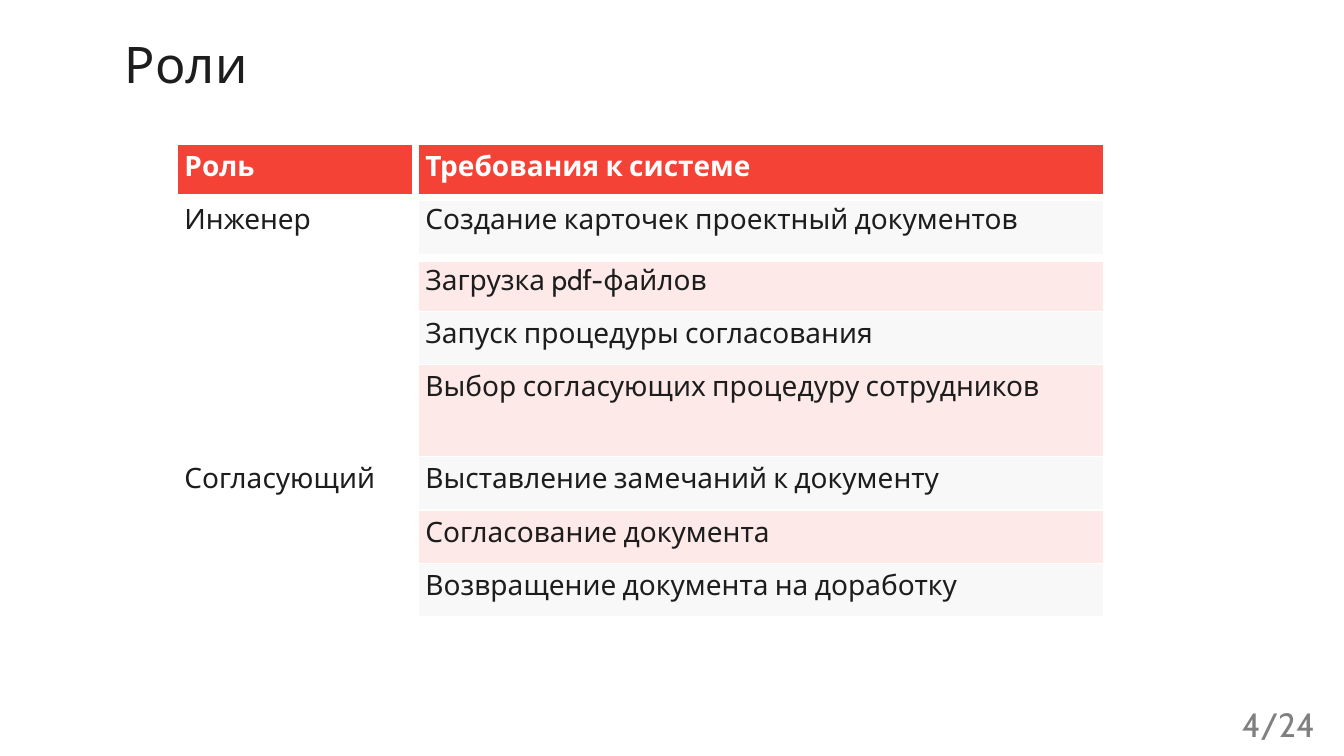
from dataclasses import dataclass

from lxml.etree import SubElement
from pptx import Presentation
from pptx.dml.color import RGBColor
from pptx.enum.text import MSO_AUTO_SIZE
from pptx.oxml.ns import qn
from pptx.slide import Slide
from pptx.table import Table, _Cell
from pptx.util import Pt

FONT = "Cabin"
WHITE = RGBColor(0xFF, 0xFF, 0xFF)
INK = RGBColor(0x1D, 0x1D, 0x1D)
GREY = RGBColor(0x80, 0x80, 0x80)
RED = RGBColor(0xF4, 0x43, 0x36)
PALE_GREY = RGBColor(0xF8, 0xF8, 0xF8)
PALE_RED = RGBColor(0xFD, 0xE9, 0xE8)

THICK, THIN = 6, 1
ROW_HEIGHT = 38.16
COLUMN_WIDTHS = (172.08, 491.76)


@dataclass(frozen=True)
class Requirement:
    text: str
    height: float = ROW_HEIGHT


@dataclass(frozen=True)
class Role:
    name: str
    requirements: tuple[Requirement, ...]


@dataclass(frozen=True)
class Label:
    text: str
    left: float
    top: float
    width: float
    height: float
    size: float
    color: RGBColor
    line_spacing: float
    top_inset: float = 0


HEADINGS = ("Роль", "Требования к системе")
ROLES = (
    Role("Инженер", (
        Requirement("Создание карточек проектный документов", 43.2),
        Requirement("Загрузка pdf-файлов"),
        Requirement("Запуск процедуры согласования"),
        Requirement("Выбор согласующих процедуру сотрудников", 65.52),
    )),
    Role("Согласующий", (
        Requirement("Выставление замечаний к документу"),
        Requirement("Согласование документа"),
        Requirement("Возвращение документа на доработку"),
    )),
)
LABELS = (
    Label("Роли", 89.28, 25.2, 748.8, 43.2, 36, INK, 0.9, 3.6),
    Label("4/24", 887.04, 499.68, 62.64, 29.52, 24, GREY, 1.1),
)


def add_label(slide: Slide, label: Label) -> None:
    box = slide.shapes.add_textbox(
        Pt(label.left), Pt(label.top), Pt(label.width), Pt(label.height))
    frame = box.text_frame
    frame.word_wrap = True
    frame.auto_size = MSO_AUTO_SIZE.SHAPE_TO_FIT_TEXT
    frame.margin_left = frame.margin_right = frame.margin_bottom = 0
    frame.margin_top = Pt(label.top_inset)
    paragraph = frame.paragraphs[0]
    paragraph.text = label.text
    paragraph.line_spacing = label.line_spacing
    paragraph.font.name = FONT
    paragraph.font.size = Pt(label.size)
    paragraph.font.color.rgb = label.color


def set_borders(cell: _Cell, row: int, column: int) -> None:
    widths = {
        "a:lnL": THICK,
        "a:lnR": THICK if column == 0 else THIN,
        "a:lnT": THICK if row in (1, 2) else THIN,
        "a:lnB": THICK if row in (0, 1) else THIN,
    }
    properties = cell._tc.get_or_add_tcPr()
    for side, width in widths.items():
        line = SubElement(properties, qn(side), w=str(Pt(width)))
        fill = SubElement(line, qn("a:solidFill"))
        SubElement(fill, qn("a:srgbClr"), val=str(WHITE))


def style_cell(cell: _Cell, fill: RGBColor, color: RGBColor, bold: bool) -> None:
    cell.fill.solid()
    cell.fill.fore_color.rgb = fill
    font = cell.text_frame.paragraphs[0].font
    font.name = FONT
    font.size = Pt(20)
    font.bold = bold
    font.color.rgb = color


def fill_roles(table: Table) -> None:
    row = 1
    for role in ROLES:
        first = row
        table.cell(first, 0).text = role.name
        for requirement in role.requirements:
            table.rows[row].height = Pt(requirement.height)
            table.cell(row, 1).text = requirement.text
            row += 1
        table.cell(first, 0).merge(table.cell(row - 1, 0))


def add_roles_table(slide: Slide) -> None:
    row_count = 1 + sum(len(role.requirements) for role in ROLES)
    table = slide.shapes.add_table(
        row_count, len(HEADINGS), Pt(124.56), Pt(102.96),
        Pt(sum(COLUMN_WIDTHS)), Pt(ROW_HEIGHT * row_count)).table
    table.rows[0].height = Pt(ROW_HEIGHT)
    for column, (heading, width) in enumerate(zip(HEADINGS, COLUMN_WIDTHS)):
        table.columns[column].width = Pt(width)
        table.cell(0, column).text = heading
    fill_roles(table)
    for row in range(row_count):
        band = PALE_GREY if row % 2 else PALE_RED
        for column, body_fill in enumerate((WHITE, band)):
            cell = table.cell(row, column)
            set_borders(cell, row, column)
            if row == 0:
                style_cell(cell, RED, WHITE, True)
            else:
                style_cell(cell, body_fill, INK, False)


def main() -> None:
    presentation = Presentation()
    presentation.slide_width = Pt(960)
    presentation.slide_height = Pt(540)
    slide = presentation.slides.add_slide(presentation.slide_layouts[6])
    add_roles_table(slide)
    for label in LABELS:
        add_label(slide, label)
    presentation.save("out.pptx")


if __name__ == "__main__":
    main()
